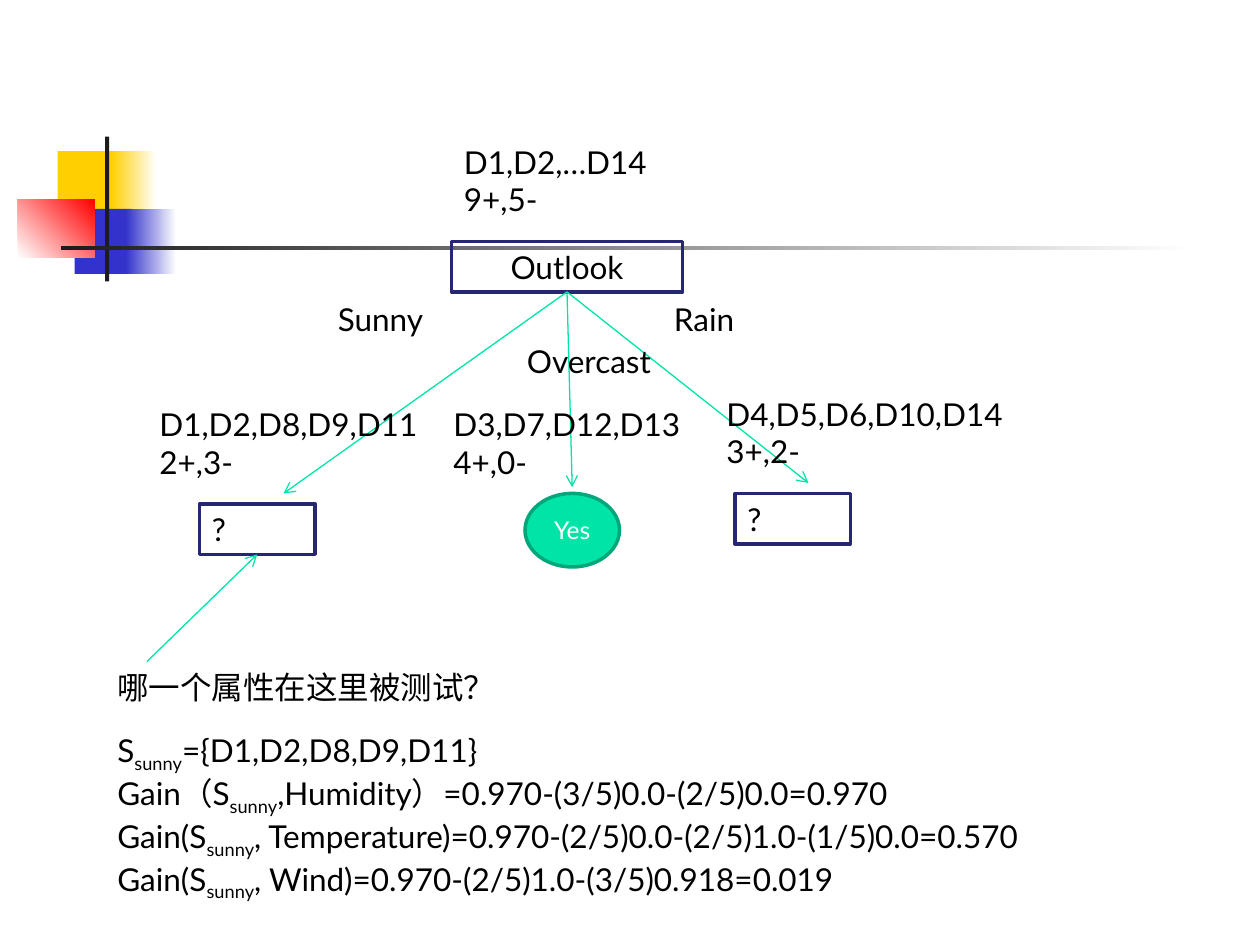
from dataclasses import dataclass
from typing import Optional

from lxml.etree import SubElement
from pptx import Presentation
from pptx.dml.color import RGBColor
from pptx.enum.shapes import MSO_CONNECTOR as Connector, MSO_SHAPE as Shape
from pptx.enum.text import MSO_ANCHOR as Anchor, MSO_AUTO_SIZE as AutoSize, PP_ALIGN as Align
from pptx.oxml.ns import qn
from pptx.util import Pt

PX = 7620  # EMU per px, 120 px to the inch
BLACK = RGBColor(0x00, 0x00, 0x00)
WHITE = RGBColor(0xFF, 0xFF, 0xFF)
CHARCOAL = RGBColor(0x1C, 0x1C, 0x1C)
YELLOW = RGBColor(0xFF, 0xCF, 0x01)
BLUE = RGBColor(0x33, 0x33, 0xCC)
RED = RGBColor(0xFF, 0x00, 0x00)
NAVY = RGBColor(0x26, 0x26, 0x73)
MINT = RGBColor(0x00, 0xE4, 0xA8)
ARROW_MINT = RGBColor(0x00, 0xE4, 0xA7)
DARK_MINT = RGBColor(0x00, 0xA7, 0x7A)
SUBSCRIPT = "sunny"
LINE_HEIGHT, PAIR_HEIGHT = 48, 84


@dataclass(frozen=True)
class Frame:
    left: int
    top: int
    width: int
    height: int = LINE_HEIGHT

    def emu(self) -> tuple:
        return tuple(v * PX for v in (self.left, self.top, self.width, self.height))


@dataclass(frozen=True)
class Block:
    """A decorative rectangle; it fades from start to end when end is given."""
    frame: Frame
    start: RGBColor
    end: Optional[RGBColor] = None
    angle: int = 0


@dataclass(frozen=True)
class Label:
    frame: Frame
    lines: tuple


@dataclass(frozen=True)
class Node:
    frame: Frame
    text: str
    align: Align = Align.LEFT
    kind: Shape = Shape.RECTANGLE
    fill: Optional[RGBColor] = None
    line: RGBColor = NAVY
    color: RGBColor = BLACK
    size: int = 18


BLOCKS = (
    Block(Frame(55, 144, 58, 62), YELLOW),
    Block(Frame(106, 144, 43, 62), YELLOW, WHITE),
    Block(Frame(71, 199, 55, 62), BLUE),
    Block(Frame(120, 199, 48, 62), BLUE, WHITE),
    Block(Frame(17, 190, 73, 55), WHITE, RED, 45),
    Block(Frame(100, 130, 4, 138), CHARCOAL),
    Block(Frame(58, 234, 1080, 4), CHARCOAL, WHITE),
)

OUTLOOK = Node(Frame(430, 230, 220), "Outlook", Align.CENTER)
SUNNY_TEST = Node(Frame(190, 480, 110), "?")
RAIN_TEST = Node(Frame(700, 470, 110), "?")
YES_LEAF = Node(Frame(500, 470, 90, 70), "Yes", Align.CENTER, Shape.OVAL,
                MINT, DARK_MINT, WHITE, 14)

BRANCH_ENDS = ((270, 470), (545, 464), (770, 460))
QUESTION_START = (140, 630)

LABELS = (
    Label(Frame(430, 130, 340, PAIR_HEIGHT), ("D1,D2,…D14", "9+,5-")),
    Label(Frame(310, 280, 180), ("Sunny",)),
    Label(Frame(490, 320, 220), ("Overcast",)),
    Label(Frame(630, 280, 150), ("Rain",)),
    Label(Frame(140, 380, 270, PAIR_HEIGHT), ("D1,D2,D8,D9,D11", "2+,3-")),
    Label(Frame(420, 380, 250, PAIR_HEIGHT), ("D3,D7,D12,D13", "4+,0-")),
    Label(Frame(680, 370, 340, PAIR_HEIGHT), ("D4,D5,D6,D10,D14", "3+,2-")),
    Label(Frame(100, 630, 430), ("哪一个属性在这里被测试？",)),
    Label(Frame(100, 690, 1020, 176), (
        "Ssunny={D1,D2,D8,D9,D11}",
        "Gain（Ssunny,Humidity）=0.970-(3/5)0.0-(2/5)0.0=0.970",
        "Gain(Ssunny, Temperature)=0.970-(2/5)0.0-(2/5)1.0-(1/5)0.0=0.570",
        "Gain(Ssunny, Wind)=0.970-(2/5)1.0-(3/5)0.918=0.019",
    )),
)


def apply_format(target, values: dict) -> None:
    for name, value in values.items():
        setattr(target, name, value)


def write_lines(box, lines: tuple, align=Align.LEFT, color=BLACK, size=18) -> None:
    """Write one paragraph per line, lowering the subscript word."""
    box.text_frame.word_wrap = True
    for index, line in enumerate(lines):
        para = box.text_frame.add_paragraph() if index else box.text_frame.paragraphs[0]
        para.alignment = align
        for piece in filter(None, line.partition(SUBSCRIPT)):
            span = para.add_run()
            span.text = piece
            apply_format(span.font, {"name": "Lato", "size": Pt(size)})
            span.font.color.rgb = color
            if piece == SUBSCRIPT:
                span.font._element.set("baseline", "-25000")


def draw_block(page, block: Block) -> None:
    box = page.shapes.add_shape(Shape.RECTANGLE, *block.frame.emu())
    box.shadow.inherit = False
    box.line.fill.background()
    if block.end is None:
        box.fill.solid()
        box.fill.fore_color.rgb = block.start
        return
    box.fill.gradient()
    box.fill.gradient_angle = block.angle
    for stop, color, position in zip(box.fill.gradient_stops, (block.start, block.end), (0, 1)):
        stop.color.rgb = color
        stop.position = position


def draw_label(page, label: Label) -> None:
    box = page.shapes.add_textbox(*label.frame.emu())
    write_lines(box, label.lines)
    box.text_frame.auto_size = AutoSize.SHAPE_TO_FIT_TEXT


def draw_node(page, node: Node):
    box = page.shapes.add_shape(node.kind, *node.frame.emu())
    box.shadow.inherit = False
    if node.fill is None:
        box.fill.background()
    else:
        box.fill.solid()
        box.fill.fore_color.rgb = node.fill
    box.line.color.rgb = node.line
    box.line.width = Pt(2)
    write_lines(box, (node.text,), node.align, node.color, node.size)
    is_leaf = node.kind == Shape.OVAL
    apply_format(box.text_frame, {
        "vertical_anchor": Anchor.MIDDLE if is_leaf else Anchor.TOP,
        "auto_size": AutoSize.NONE if is_leaf else AutoSize.SHAPE_TO_FIT_TEXT,
    })
    return box


def draw_arrow(page, start: tuple, end: tuple):
    arrow = page.shapes.add_connector(Connector.STRAIGHT, *(v * PX for v in start + end))
    arrow.line.color.rgb = ARROW_MINT
    arrow.line.width = Pt(0.75)
    SubElement(arrow.line._get_or_add_ln(), qn("a:tailEnd"), type="arrow")
    SubElement(arrow._element.spPr, qn("a:effectLst"))
    return arrow


def main() -> None:
    deck = Presentation()
    deck.slide_width, deck.slide_height = 1200 * PX, 900 * PX
    page = deck.slides.add_slide(deck.slide_layouts[6])
    for block in BLOCKS:
        draw_block(page, block)
    outlook, sunny_test, _, _ = [
        draw_node(page, node) for node in (OUTLOOK, SUNNY_TEST, RAIN_TEST, YES_LEAF)]
    for end in BRANCH_ENDS:
        draw_arrow(page, (0, 0), end).begin_connect(outlook, 2)
    draw_arrow(page, QUESTION_START, (0, 0)).end_connect(sunny_test, 2)
    for label in LABELS:
        draw_label(page, label)
    deck.save("out.pptx")


if __name__ == "__main__":
    main()
